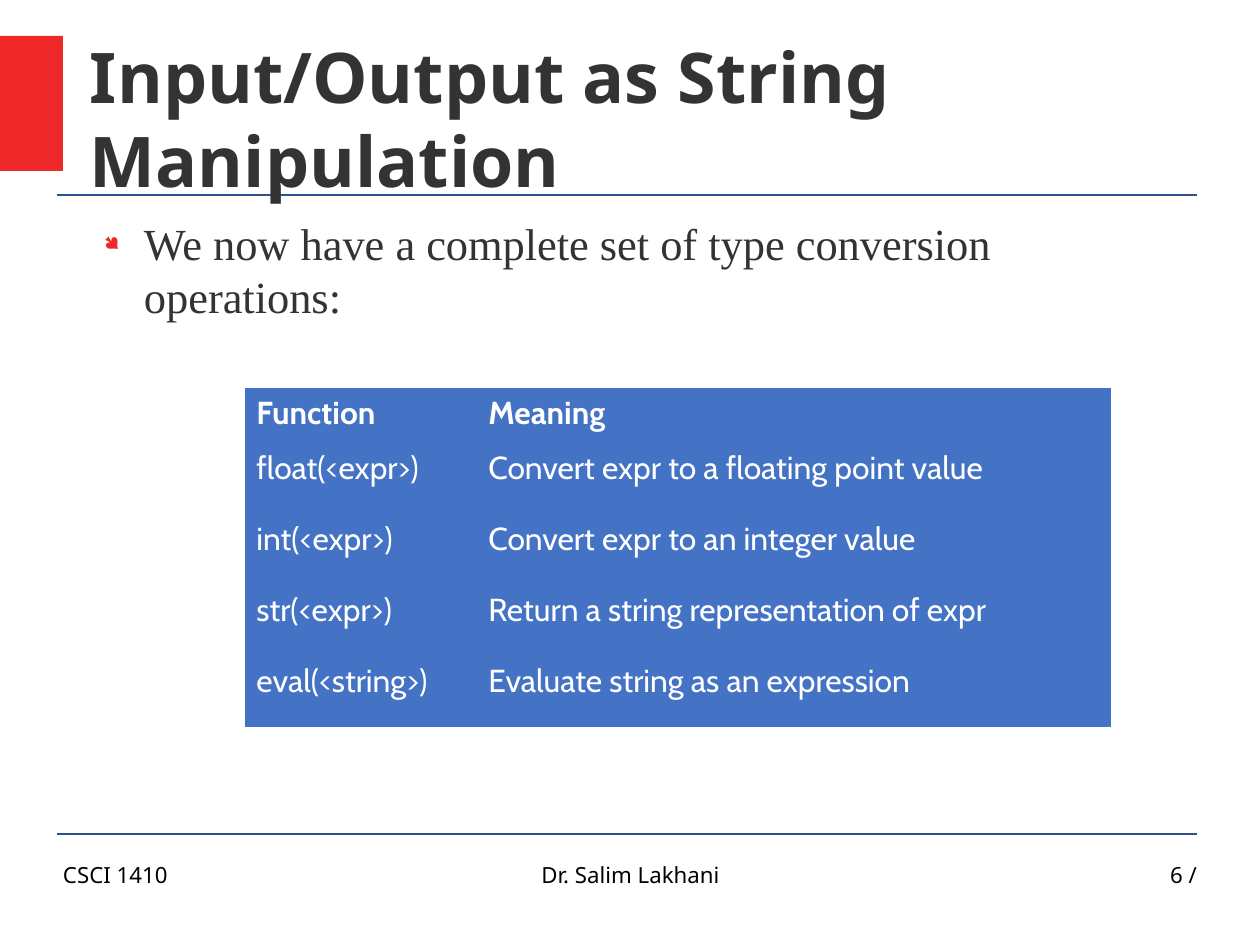
from pptx import Presentation
from pptx.dml.color import RGBColor
from pptx.enum.shapes import MSO_CONNECTOR, MSO_SHAPE
from pptx.enum.text import MSO_ANCHOR, PP_ALIGN
from pptx.oxml.ns import qn
from pptx.util import Pt
from lxml import etree

LEFT, CENTER, RIGHT = PP_ALIGN.LEFT, PP_ALIGN.CENTER, PP_ALIGN.RIGHT
TOP, MIDDLE = MSO_ANCHOR.TOP, MSO_ANCHOR.MIDDLE
RECTANGLE, STRAIGHT = MSO_SHAPE.RECTANGLE, MSO_CONNECTOR.STRAIGHT
NO_GRID_STYLE = "{2D5ABB26-0587-4C30-8999-92F81FD0307C}"
PX = 8000  # EMU per px
COLORS = {"accent": "EF2929", "rule": "2F528F", "text": "333333",
          "footer": "000000", "table": "4472C4", "cell": "FFFFFF"}


def style_font(paragraph, name, size, color, bold=False):
    font = paragraph.font
    font.name, font.size, font.bold = name, Pt(size), bold
    font.color.rgb = RGBColor.from_string(COLORS[color])


def add_text(text, left, top, width, height, anchor=TOP):
    box = slide.shapes.add_textbox(left * PX, top * PX, width * PX, height * PX)
    frame = box.text_frame
    frame.margin_left = frame.margin_top = frame.margin_right = frame.margin_bottom = 0
    frame.word_wrap = True
    frame.vertical_anchor = anchor
    paragraph = frame.paragraphs[0]
    paragraph.text = text
    return paragraph


presentation = Presentation()
presentation.slide_width, presentation.slide_height = 1260 * PX, 945 * PX
slide = presentation.slides.add_slide(presentation.slide_layouts[6])

# Red block beside the title
block = slide.shapes.add_shape(RECTANGLE, 0, 36 * PX, 63 * PX, 135 * PX)
block.shadow.inherit = False
block.fill.solid()
block.fill.fore_color.rgb = RGBColor.from_string(COLORS["accent"])
block.line.fill.background()

# Rules above the footer and below the title
for y in (834, 195):
    rule = slide.shapes.add_connector(STRAIGHT, 57 * PX, y * PX, 1197 * PX, y * PX)
    rule.line.color.rgb = RGBColor.from_string(COLORS["rule"])
    rule.line.width = Pt(1.45)
    etree.SubElement(rule._element.spPr, qn("a:effectLst"))

# Footer
for text, left, width, alignment in (("CSCI 1410", 63, 294, LEFT),
                                     ("Dr. Salim Lakhani", 431, 399, CENTER),
                                     ("6 /", 903, 294, RIGHT)):
    footer = add_text(text, left, 861, width, 65)
    footer.alignment = alignment
    style_font(footer, "Noto Sans", 14, "footer")

# Title
title = add_text("Input/Output as String Manipulation", 90, 22, 1106, 191, MIDDLE)
style_font(title, "Noto Sans", 44, "text", bold=True)

# Bulleted statement
statement = add_text("We now have a complete set of type conversion operations:",
                     90, 216, 1080, 621)
statement.space_after = Pt(7.2)
style_font(statement, "Times New Roman", 28, "text")
properties = statement._p.get_or_add_pPr()
properties.set("marL", str(54 * PX))
properties.set("indent", str(-40 * PX))
bullet_color = etree.Element(qn("a:buClr"))
etree.SubElement(bullet_color, qn("a:srgbClr"), val=COLORS["accent"])
bullet_size = etree.Element(qn("a:buSzPct"), val="45000")
bullet_font = etree.Element(qn("a:buFont"), typeface="Wingdings", charset="2")
bullet = etree.Element(qn("a:buChar"), char="●")
default_run = properties.find(qn("a:defRPr"))
for element in (bullet_color, bullet_size, bullet_font, bullet):
    default_run.addprevious(element)

# Table of conversion functions
ROWS = (("Function", "Meaning"),
        ("float(<expr>)", "Convert expr to a floating point value"),
        ("int(<expr>)", "Convert expr to an integer value"),
        ("str(<expr>)", "Return a string representation of expr"),
        ("eval(<string>)", "Evaluate string as an expression"))
table_frame = slide.shapes.add_table(len(ROWS), 2, 245 * PX, 388 * PX, 866 * PX, 339 * PX)
table = table_frame.table
table.first_row = table.horz_banding = False
table._tbl.tblPr.find(qn("a:tableStyleId")).text = NO_GRID_STYLE
for column, width in zip(table.columns, (232, 634)):
    column.width = width * PX
for row_index, texts in enumerate(ROWS):
    is_header = row_index == 0
    table.rows[row_index].height = (55 if is_header else 71) * PX
    for column_index, text in enumerate(texts):
        cell = table.cell(row_index, column_index)
        cell.fill.solid()
        cell.fill.fore_color.rgb = RGBColor.from_string(COLORS["table"])
        paragraph = cell.text_frame.paragraphs[0]
        paragraph.text = text
        paragraph.space_before = Pt(4)
        style_font(paragraph, "Cabin", 20, "cell", bold=is_header)

presentation.save("out.pptx")
